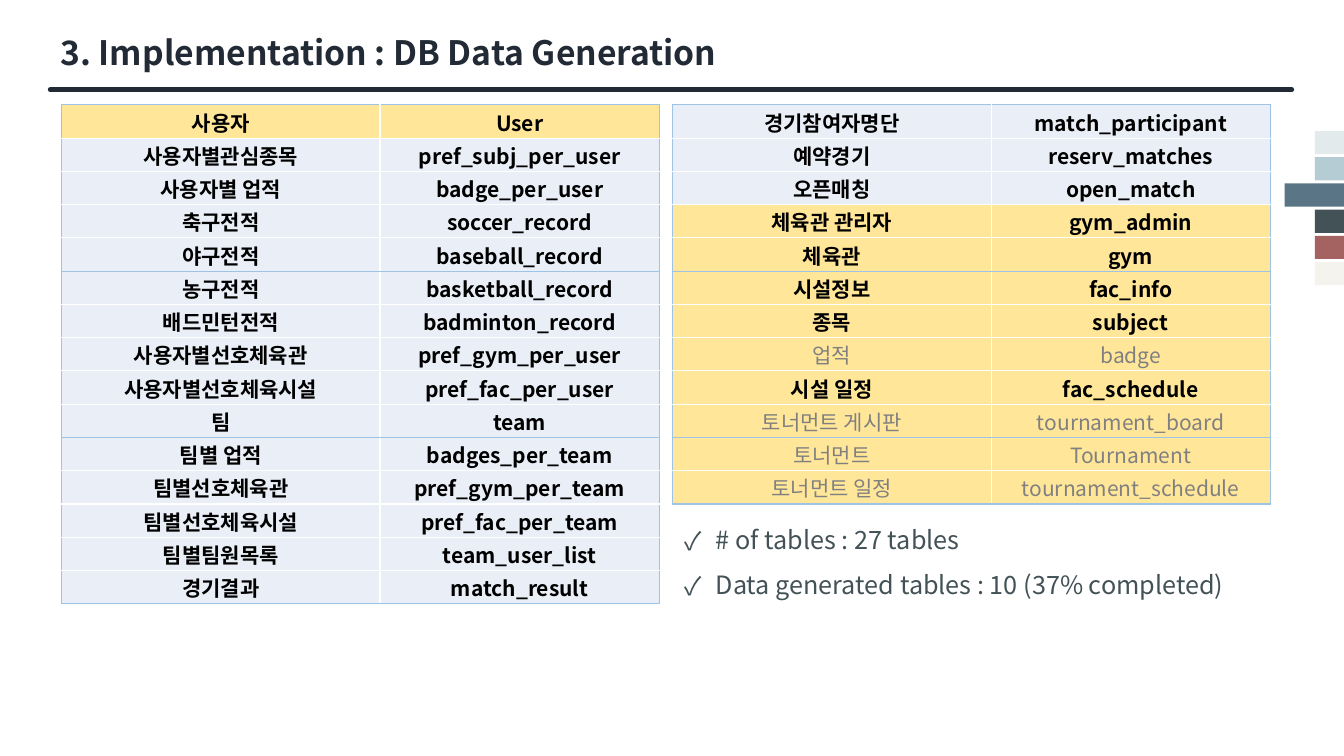
from lxml import etree
from pptx import Presentation
from pptx.dml.color import RGBColor
from pptx.enum.shapes import MSO_CONNECTOR, MSO_SHAPE
from pptx.enum.text import MSO_ANCHOR, MSO_AUTO_SIZE, PP_ALIGN
from pptx.oxml import parse_xml
from pptx.oxml.ns import nsdecls, qn
from pptx.util import Pt

PX = 9144  # 100 px to the inch
FONT = "Noto Sans CJK KR"
LINE, RECT = MSO_CONNECTOR.STRAIGHT, MSO_SHAPE.RECTANGLE
MID, TOP = MSO_ANCHOR.MIDDLE, MSO_ANCHOR.TOP
LEFT, CENTER = PP_ALIGN.LEFT, PP_ALIGN.CENTER

NAVY = RGBColor(0x22, 0x2A, 0x35)
SLATE = RGBColor(0x43, 0x52, 0x56)
BLACK = RGBColor(0, 0, 0)
GRAY = RGBColor(0x80, 0x80, 0x80)
WHITE = RGBColor(0xFF, 0xFF, 0xFF)
BLUE = RGBColor(0x9D, 0xC3, 0xE6)
PALE = RGBColor(0xEA, 0xEF, 0xF7)
GOLD = RGBColor(0xFF, 0xE6, 0x99)
BARS = [RGBColor(0xE3, 0xEA, 0xEB), RGBColor(0xB6, 0xCC, 0xD4),
        RGBColor(0x5A, 0x75, 0x85), SLATE,
        RGBColor(0xA4, 0x63, 0x60), RGBColor(0xF5, 0xF3, 0xEE)]


def write(para, text, size, color, bold=False, align=LEFT):
    para.alignment = align
    run = para.add_run()
    run.text = text
    font = run.font
    font.size, font.bold, font.name = Pt(size), bold, FONT
    font.color.rgb = color
    etree.SubElement(run._r.get_or_add_rPr(), qn("a:ea"), typeface=FONT)


def place(shape, x, y, w, h, anchor):
    shape.left, shape.top, shape.width, shape.height = (
        n * PX for n in (x, y, w, h))
    frame = shape.text_frame
    frame.word_wrap, frame.auto_size = True, MSO_AUTO_SIZE.NONE
    frame.vertical_anchor = anchor
    return frame


prs = Presentation()
prs.slide_width, prs.slide_height = 1333 * PX, 750 * PX
slide = prs.slides.add_slide(prs.slide_layouts[1])
title, body = slide.placeholders

# Title and rule
frame = place(title, 50, 27, 1188, 50, MID)
write(frame.paragraphs[0], "3. Implementation : DB Data Generation", 24, NAVY, bold=True)
rule = slide.shapes.add_connector(LINE, 50 * PX, 89 * PX, 1281 * PX, 89 * PX)
rule.line.color.rgb, rule.line.width = NAVY, Pt(3.75)
rule.line._get_or_add_ln().set("cap", "rnd")
etree.SubElement(rule._element.spPr, qn("a:effectLst"))

# Colour bars at the right edge, the third one longer
group = slide.shapes.add_group_shape()
for i, color in enumerate(BARS):
    wide = 59 if i == 2 else 29
    bar = group.shapes.add_shape(RECT, (1333 - wide) * PX, (130 + 26 * i) * PX,
                                 wide * PX, 23 * PX)
    bar.shadow.inherit = False
    bar.fill.solid()
    bar.fill.fore_color.rgb = color
    bar.line.fill.background()

# Tables: names, rows on gold, rows in gray
USERS = [
    ("사용자", "User"),
    ("사용자별관심종목", "pref_subj_per_user"),
    ("사용자별 업적", "badge_per_user"),
    ("축구전적", "soccer_record"),
    ("야구전적", "baseball_record"),
    ("농구전적", "basketball_record"),
    ("배드민턴전적", "badminton_record"),
    ("사용자별선호체육관", "pref_gym_per_user"),
    ("사용자별선호체육시설", "pref_fac_per_user"),
    ("팀", "team"),
    ("팀별 업적", "badges_per_team"),
    ("팀별선호체육관", "pref_gym_per_team"),
    ("팀별선호체육시설", "pref_fac_per_team"),
    ("팀별팀원목록", "team_user_list"),
    ("경기결과", "match_result"),
]
GYMS = [
    ("경기참여자명단", "match_participant"),
    ("예약경기", "reserv_matches"),
    ("오픈매칭", "open_match"),
    ("체육관 관리자", "gym_admin"),
    ("체육관", "gym"),
    ("시설정보", "fac_info"),
    ("종목", "subject"),
    ("업적", "badge"),
    ("시설 일정", "fac_schedule"),
    ("토너먼트 게시판", "tournament_board"),
    ("토너먼트", "Tournament"),
    ("토너먼트 일정", "tournament_schedule"),
]
TABLES = [(61, USERS, {0}, set()),
          (667, GYMS, set(range(3, 12)), {7, 9, 10, 11})]

for x, names, gold, gray in TABLES:
    count = len(names)
    table = slide.shapes.add_table(count, 2, x * PX, 104 * PX,
                                   593 * PX, 33 * count * PX).table
    table.first_row = table.horz_banding = False
    for col, wide in zip(table.columns, (316, 277)):
        col.width = wide * PX
    for r, pair in enumerate(names):
        for c, text in enumerate(pair):
            cell = table.cell(r, c)
            cell.margin_left = cell.margin_right = cell.margin_top = PX
            cell.margin_bottom = 0
            cell.vertical_anchor = MID
            write(cell.text_frame.paragraphs[0], text, 15,
                  GRAY if r in gray else BLACK, bold=r not in gray, align=CENTER)
            # Blue outside and between blocks of five rows, white inside
            edges = {"L": c == 0, "R": c == 1, "T": r % 5 == 0,
                     "B": r % 5 == 4 or r == count - 1}
            for side, blue in edges.items():
                cell._tc.get_or_add_tcPr().append(parse_xml(
                    f'<a:ln{side} {nsdecls("a")} w="12700"><a:solidFill>'
                    f'<a:srgbClr val="{BLUE if blue else WHITE}"/>'
                    f'</a:solidFill></a:ln{side}>'))
            cell.fill.solid()
            cell.fill.fore_color.rgb = GOLD if r in gold else PALE

# Check list
frame = place(body, 669, 500, 589, 95, TOP)
ITEMS = ["# of tables : 27 tables", "Data generated tables : 10 (37% completed)"]
for i, text in enumerate(ITEMS):
    para = frame.add_paragraph() if i else frame.paragraphs[0]
    write(para, text, 18, SLATE)
    para.line_spacing, para.space_before = 1.5, Pt(0)
    props = para._p.get_or_add_pPr()
    props.set("marL", str(31 * PX))
    props.set("indent", str(-31 * PX))
    etree.SubElement(props, qn("a:buFont"), typeface=FONT)
    etree.SubElement(props, qn("a:buChar"), char="✓")

prs.save("out.pptx")
